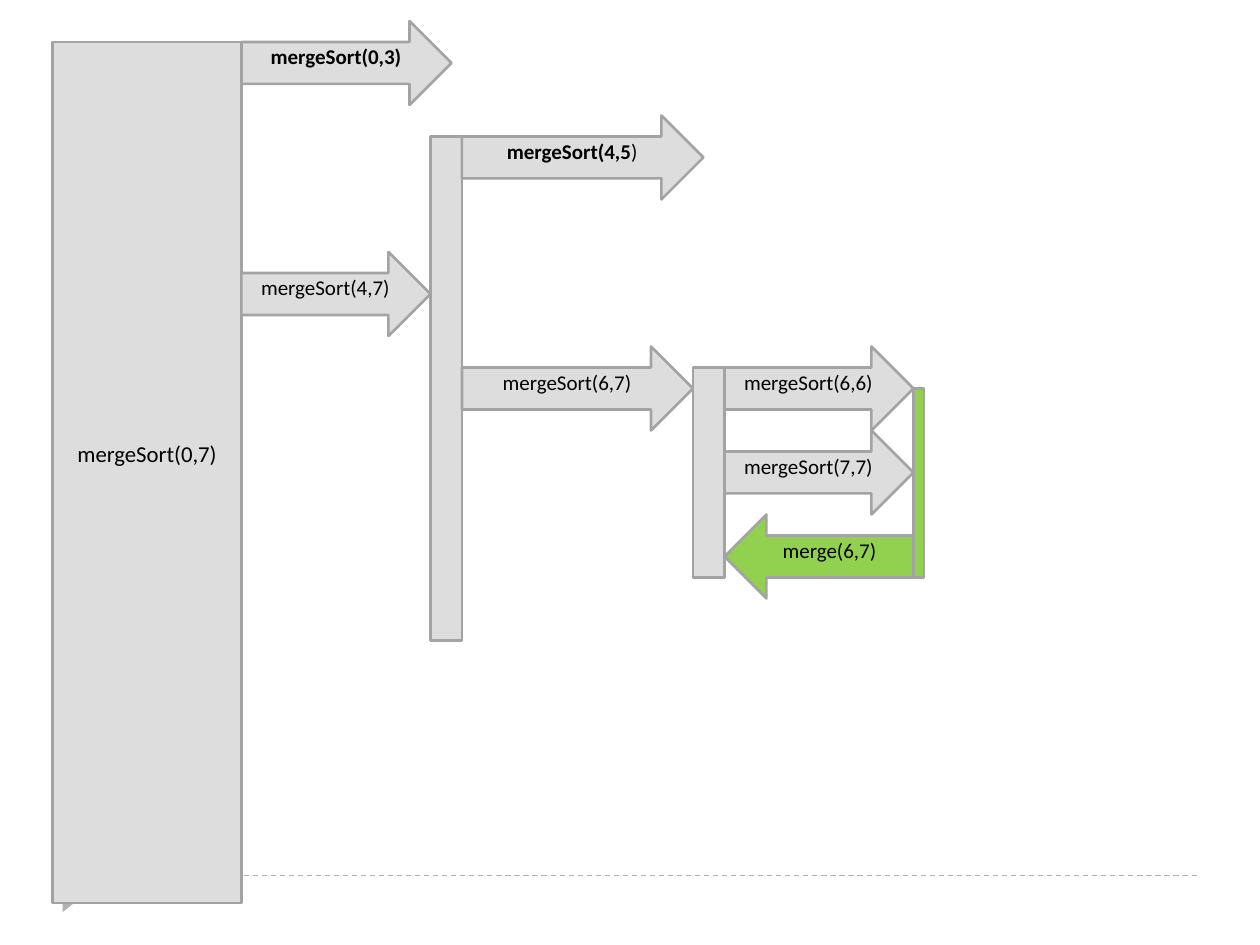
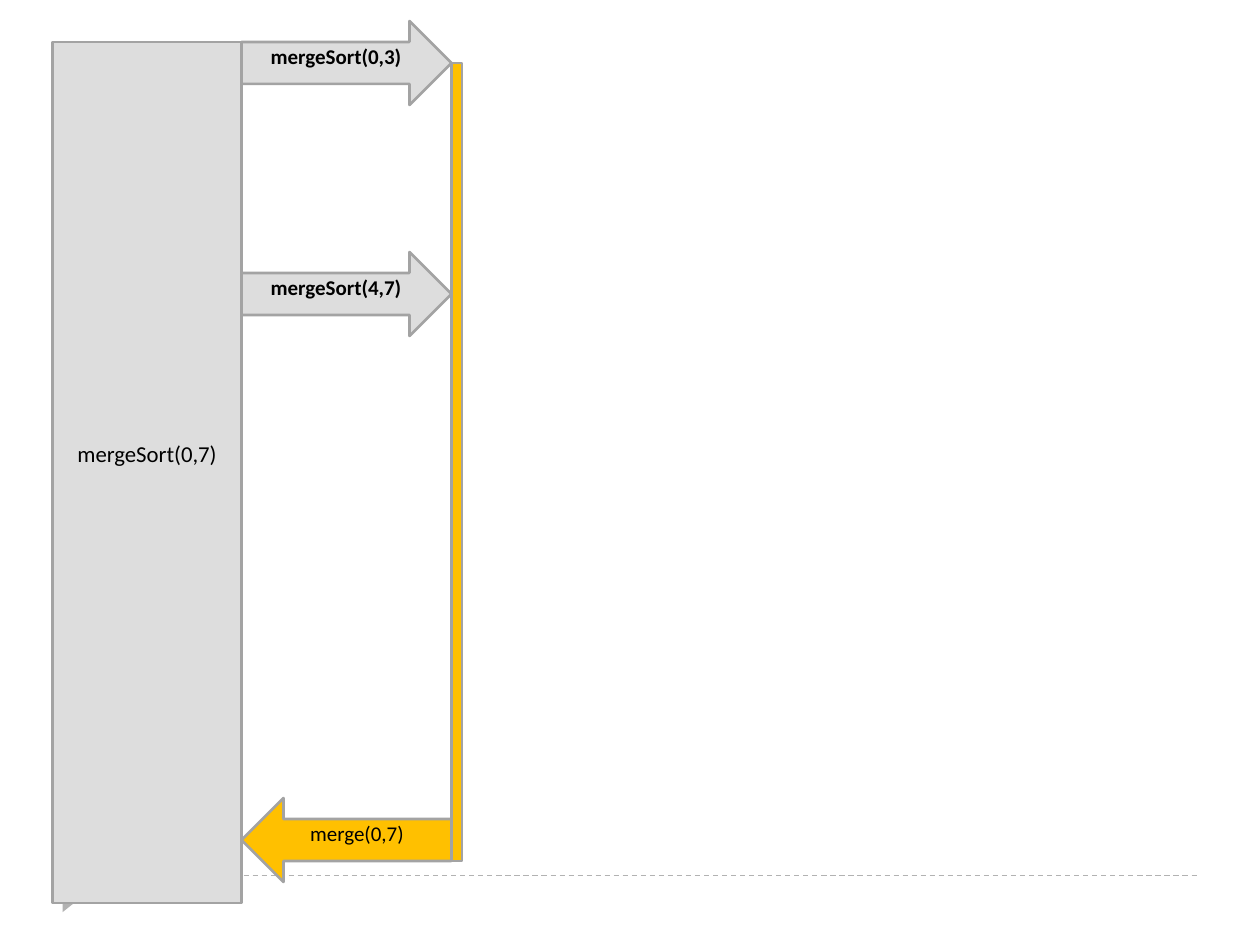
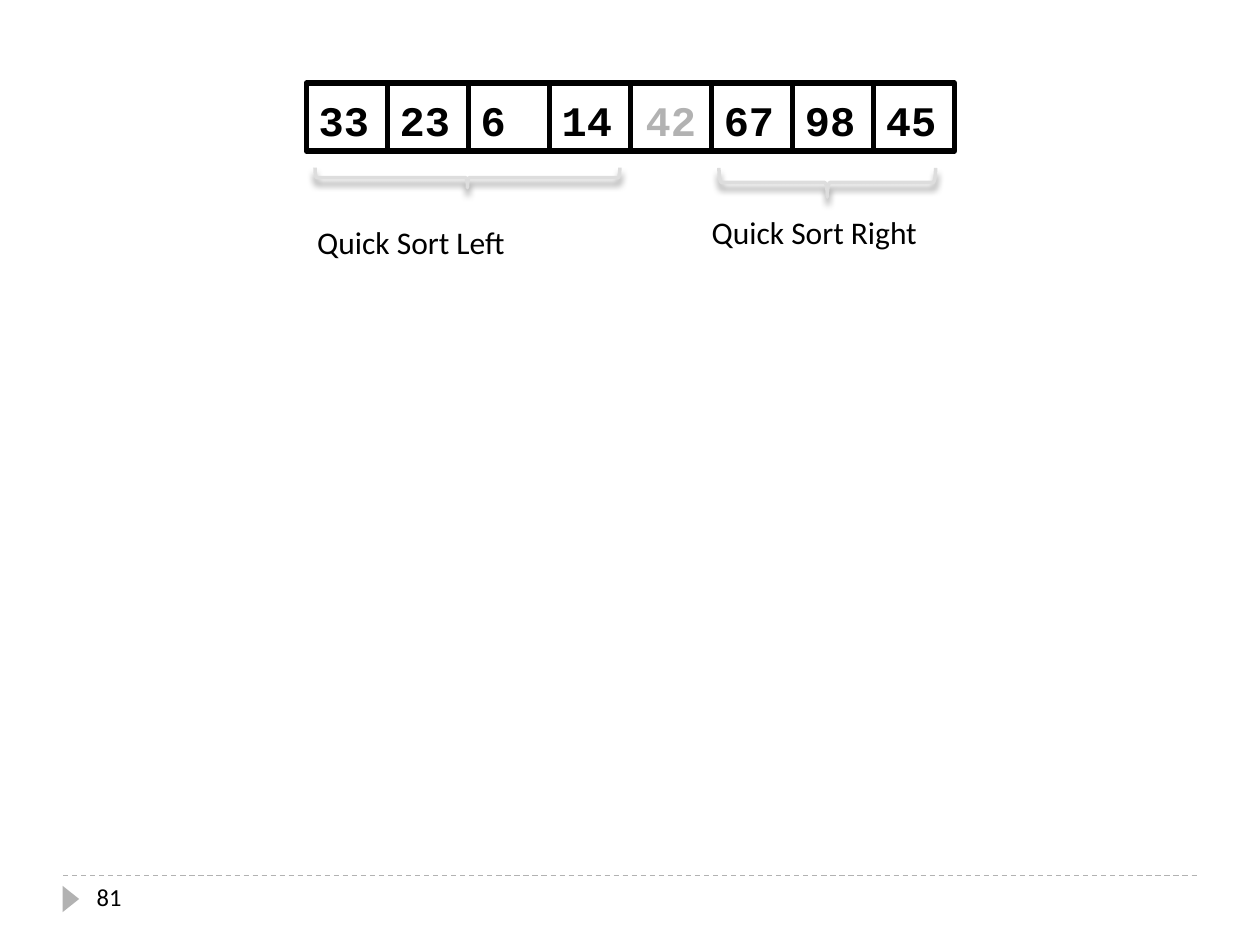
from pptx import Presentation
from pptx.dml.color import RGBColor
from pptx.enum.dml import MSO_LINE
from pptx.enum.shapes import MSO_CONNECTOR, MSO_SHAPE
from pptx.enum.text import MSO_ANCHOR, PP_ALIGN
from pptx.oxml import parse_xml
from pptx.oxml.ns import nsdecls, qn
from pptx.oxml.xmlchemy import OxmlElement
from pptx.util import Pt

BLACK, PALE, EDGE, GRAY = "000000", "DDDDDD", "A3A3A3", "B2B2B2"
GREEN, GOLD = "92D050", "FFC000"
SANS, MONO = "Calibri", "Courier New"
THIN, DEEP = 18, 48
ROOT, STEM = 30, 108


def tint(code):
    """Turn a hex string into a colour."""
    return RGBColor.from_string(code)


def write(shape, words, tail="", size=12, font=SANS, color=BLACK, bold=False,
          align=PP_ALIGN.LEFT, anchor=MSO_ANCHOR.TOP, top=3.6, low=3.6, wrap=True):
    """Put one line of text in a shape, with an optional plain tail."""
    frame = shape.text_frame
    frame.word_wrap = wrap
    frame.vertical_anchor = anchor
    frame.margin_top, frame.margin_bottom = Pt(top), Pt(low)
    line = frame.paragraphs[0]
    line.alignment = align
    for part, heavy in ((words, bold), (tail, False)):
        if part:
            run = line.add_run()
            run.text = part
            run.font.size, run.font.name, run.font.bold = Pt(size), font, heavy
            run.font.color.rgb = tint(color)


def draw(slide, kind, left, top, width, height, fill=None, edge=EDGE, weight=1.5):
    """Add a flat preset shape."""
    shape = slide.shapes.add_shape(kind, Pt(left), Pt(top), Pt(width), Pt(height))
    shape.shadow.inherit = False
    if fill:
        shape.fill.solid()
        shape.fill.fore_color.rgb = tint(fill)
    else:
        shape.fill.background()
    if edge:
        shape.line.color.rgb = tint(edge)
        shape.line.width = Pt(weight)
    else:
        shape.line.fill.background()
    return shape


def bar(slide, left, top, width, height, fill=PALE):
    """Add an upright bar for an open call."""
    return draw(slide, MSO_SHAPE.RECTANGLE, left, top, width, height, fill)


def root(slide):
    """Add the bar of the first call."""
    shape = bar(slide, ROOT, 24, STEM, 492)
    write(shape, "mergeSort(0,7)", size=13, align=PP_ALIGN.CENTER,
          anchor=MSO_ANCHOR.MIDDLE, top=0, low=22)


def arrow(slide, words, left, top, width, fill=PALE, back=False, **style):
    """Add a block arrow for a call, or for a merge that goes back."""
    kind = MSO_SHAPE.LEFT_ARROW if back else MSO_SHAPE.RIGHT_ARROW
    shape = draw(slide, kind, left, top, width, DEEP, fill)
    write(shape, words, align=PP_ALIGN.CENTER, anchor=MSO_ANCHOR.MIDDLE,
          top=0, low=7.3, **style)


def cell(slide, words, left, **style):
    """Add one cell of the array."""
    shape = draw(slide, MSO_SHAPE.RECTANGLE, left, 47.5, 46.3, 38.9, None, BLACK, 3)
    write(shape, words, size=24, font=MONO, bold=True, anchor=MSO_ANCHOR.MIDDLE,
          top=3, low=0, wrap=False, **style)


def brace(slide, left, top, width, height):
    """Add a brace that opens upward and casts a soft shadow."""
    shape = draw(slide, MSO_SHAPE.RIGHT_BRACE, left + (width - height) / 2,
                 top + (height - width) / 2, height, width, None, PALE, 2)
    shape.rotation = 90
    shade = parse_xml(
        f'<a:outerShdw {nsdecls("a")} blurRad="{Pt(4)}" dist="{Pt(3.4)}" '
        f'dir="5400000" rotWithShape="0"><a:srgbClr val="{BLACK}">'
        '<a:alpha val="40000"/></a:srgbClr></a:outerShdw>')
    shape._element.spPr.find(qn("a:effectLst")).append(shade)


def label(slide, words, left, top, width, size=18):
    """Add a plain text box."""
    box = slide.shapes.add_textbox(Pt(left), Pt(top), Pt(width), Pt(29))
    write(box, words, size=size)


def start(deck):
    """Add a blank slide with the footer rule and marker."""
    slide = deck.slides.add_slide(deck.slide_layouts[6])
    rule = slide.shapes.add_connector(
        MSO_CONNECTOR.STRAIGHT, Pt(36), Pt(500.4), Pt(684), Pt(500.4))
    rule.line.color.rgb = tint(GRAY)
    rule.line.width = Pt(0.75)
    rule.line.dash_style = MSO_LINE.DASH
    rule._element.spPr.append(OxmlElement("a:effectLst"))
    mark = draw(slide, MSO_SHAPE.ISOSCELES_TRIANGLE, 33, 509, 15, 9.4, GRAY, None)
    mark.rotation = 90
    return slide


def calls(deck):
    """Show the calls open while the right half is sorted."""
    slide = start(deck)
    root(slide)
    first = ROOT + STEM
    next = first + STEM
    inner = next + THIN
    last = inner + 132
    leaf = last + THIN
    arrow(slide, "mergeSort(0,3)", first, 12, 120, bold=True)
    arrow(slide, "mergeSort(4,7)", first, 144, STEM)
    bar(slide, next, 78, THIN, 288)
    arrow(slide, "mergeSort(4,5", inner, 66, 138, tail=")", bold=True)
    arrow(slide, "mergeSort(6,7)", inner, 198, 132)
    bar(slide, last, 210, THIN, 120)
    arrow(slide, "mergeSort(6,6)", leaf, 198, STEM)
    arrow(slide, "mergeSort(7,7)", leaf, 198 + DEEP, STEM)
    arrow(slide, "merge(6,7)", leaf, 198 + 2 * DEEP, STEM, GREEN, back=True)
    bar(slide, leaf + STEM, 222, 6, 108, GREEN)


def merge(deck):
    """Show the last merge of both halves."""
    slide = start(deck)
    first = ROOT + STEM
    bar(slide, first + 120, 36, 6, 456, GOLD)
    root(slide)
    arrow(slide, "mergeSort(0,3)", first, 12, 120, bold=True)
    arrow(slide, "mergeSort(4,7)", first, 144, 120, bold=True)
    arrow(slide, "merge(0,7)", first, 456, 120, GOLD, back=True)


def quick(deck):
    """Show the array split around its pivot."""
    slide = start(deck)
    for spot, words in enumerate("33 23 6 14 42 67 98 45".split()):
        style = {"color": GRAY, "align": PP_ALIGN.CENTER} if words == "42" else {}
        cell(slide, words, 175 + spot * 46.3, **style)
    label(slide, "81", 48.2, 500.4, 156, size=14)
    brace(slide, 180, 95.8, 174.2, 11.5)
    brace(slide, 410.8, 96, 123.8, 16.6)
    label(slide, "Quick Sort Left", 174.2, 123.8, 124)
    label(slide, "Quick Sort Right", 399.6, 118, 158)


def main():
    """Build and save the deck."""
    deck = Presentation()
    deck.slide_width, deck.slide_height = Pt(720), Pt(540)
    calls(deck)
    merge(deck)
    quick(deck)
    deck.save("out.pptx")


if __name__ == "__main__":
    main()
